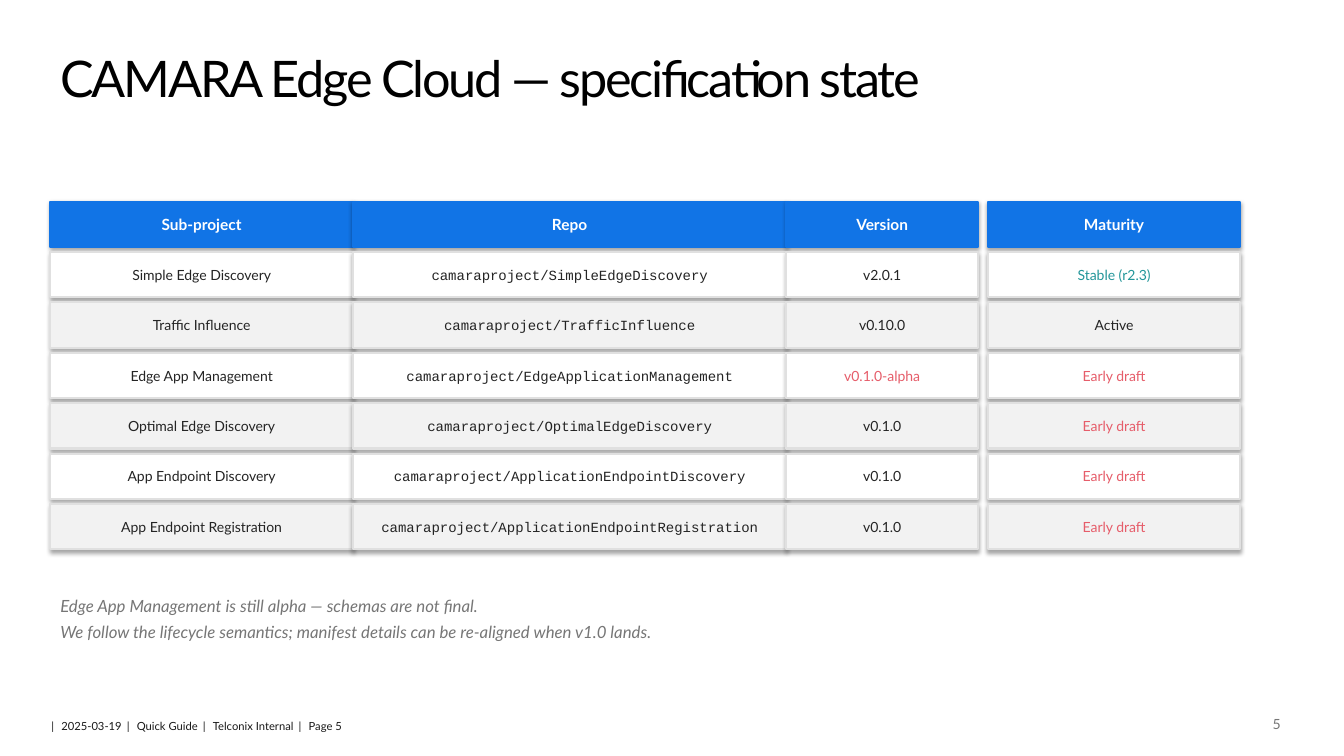
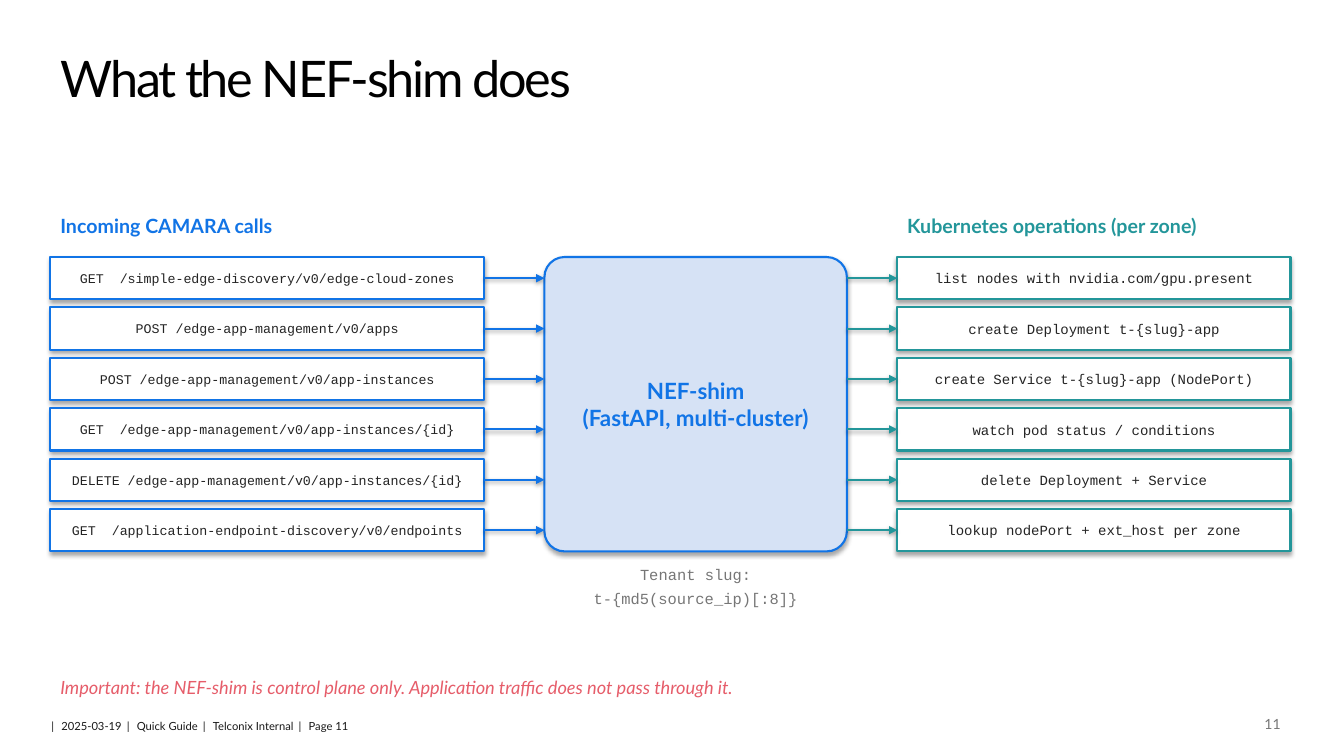
from dataclasses import dataclass

from lxml import etree
from pptx import Presentation
from pptx.dml.color import RGBColor
from pptx.enum.shapes import MSO_CONNECTOR, MSO_SHAPE
from pptx.enum.text import MSO_ANCHOR, MSO_AUTO_SIZE, PP_ALIGN
from pptx.oxml.ns import qn
from pptx.util import Pt

PX = 9144  # one hundredth of an inch in EMU
RECTANGLE, ROUNDED = MSO_SHAPE.RECTANGLE, MSO_SHAPE.ROUNDED_RECTANGLE
STRAIGHT = MSO_CONNECTOR.STRAIGHT
LEFT, CENTER, RIGHT = PP_ALIGN.LEFT, PP_ALIGN.CENTER, PP_ALIGN.RIGHT
TOP, MIDDLE = MSO_ANCHOR.TOP, MSO_ANCHOR.MIDDLE
NO_FIT = MSO_AUTO_SIZE.NONE
LEFT_SIDE, RIGHT_SIDE = 1, 3


@dataclass(frozen=True)
class Theme:
    sans: str = "Lato"
    mono: str = "Courier New"
    black: RGBColor = RGBColor.from_string("000000")
    white: RGBColor = RGBColor.from_string("FFFFFF")
    ink: RGBColor = RGBColor.from_string("242424")
    footer_ink: RGBColor = RGBColor.from_string("181818")
    gray: RGBColor = RGBColor.from_string("767676")
    border: RGBColor = RGBColor.from_string("E0E0E0")
    stripe: RGBColor = RGBColor.from_string("F2F2F2")
    blue: RGBColor = RGBColor.from_string("1174E6")
    pale_blue: RGBColor = RGBColor.from_string("D6E2F5")
    teal: RGBColor = RGBColor.from_string("23969A")
    coral: RGBColor = RGBColor.from_string("E65D6A")
    title_size: float = 36
    hub_size: float = 16
    heading_size: float = 14
    warning_size: float = 13
    note_size: float = 12
    header_size: float = 11
    cell_size: float = 10
    call_size: float = 9.5
    footer_size: float = 8


THEME = Theme()


def cast_shadow(drawn, distance, opacity):
    """Give a shape or connector, whose line is already set, a soft shadow below it."""
    effects = etree.SubElement(drawn._element.spPr, qn("a:effectLst"))
    shadow = etree.SubElement(effects, qn("a:outerShdw"), blurRad=str(Pt(3.1)),
                              dist=str(Pt(distance)), dir="5400000", rotWithShape="0")
    color = etree.SubElement(shadow, qn("a:srgbClr"), val="000000")
    etree.SubElement(color, qn("a:alpha"), val=str(opacity * 1000))


def put_text(page, area, text, *, size, color=THEME.ink, font=THEME.sans, bold=False,
             italic=False, align=LEFT, spacing=1.0, outline=None, fill=None, edge=None):
    """Place text, one paragraph a line, in a text box or in an outlined, filled shape."""
    area = [length * PX for length in area]
    if outline is None:
        box = page.shapes.add_textbox(*area)
    else:
        box = page.shapes.add_shape(outline, *area)
        box.fill.solid()
        box.fill.fore_color.rgb = fill
        box.line.color.rgb = edge
        box.line.width = Pt(1.5)
        cast_shadow(box, 1.8, 35)
    frame = box.text_frame
    frame.word_wrap = True
    frame.vertical_anchor = MIDDLE if outline else TOP
    for number, line in enumerate(text.split("\n")):
        para = frame.add_paragraph() if number else frame.paragraphs[0]
        para.alignment = align
        para.line_spacing = spacing
        span = para.add_run()
        span.text = line
        span.font.name = font
        span.font.size = Pt(size)
        span.font.color.rgb = color
        span.font.bold = bold
        span.font.italic = italic
    return box


deck = Presentation()
deck.slide_width, deck.slide_height = 1333 * PX, 750 * PX

# Title, footer and page number of every slide
pages = []
for heading, page_number in (("CAMARA Edge Cloud — specification state", 5),
                             ("What the NEF-shim does", 11)):
    page = deck.slides.add_slide(deck.slide_layouts[5])
    pages.append(page)

    title = page.shapes.title
    title.left, title.top, title.width, title.height = 52 * PX, 52 * PX, 914 * PX, 118 * PX
    frame = title.text_frame
    frame.auto_size, frame.vertical_anchor = NO_FIT, TOP
    frame.margin_left, frame.margin_top = 8 * PX, 4 * PX
    frame.margin_right = frame.margin_bottom = 0
    para = frame.paragraphs[0]
    para.alignment = LEFT
    para.line_spacing = 0.85
    span = para.add_run()
    span.text = heading
    span.font.name = THEME.sans
    span.font.size = Pt(THEME.title_size)
    span.font.color.rgb = THEME.black
    span._r.get_or_add_rPr().set("spc", "-160")

    footer = page.shapes.add_textbox(46 * PX, 714 * PX, 340 * PX, 13 * PX)
    frame = footer.text_frame
    frame.word_wrap = True
    frame.margin_left = frame.margin_top = frame.margin_right = frame.margin_bottom = 0
    para = frame.paragraphs[0]
    para._p.get_or_add_pPr().set("indent", str(5 * PX))
    separator = "| "
    for part in ("2025-03-19", "Quick Guide", "Telconix Internal", f"Page {page_number}"):
        for text, tracking in ((separator, 150), (part, 0)):
            span = para.add_run()
            span.text = text
            span.font.name = THEME.sans
            span.font.size = Pt(THEME.footer_size)
            span.font.color.rgb = THEME.footer_ink
            span._r.get_or_add_rPr().set("spc", str(tracking))
        separator = " | "

    put_text(page, (1200, 705, 80, 30), str(page_number), size=THEME.cell_size,
             color=THEME.gray, align=RIGHT)

state_page, shim_page = pages

# Specification state: a grid of separate cells
COLUMNS = ((50, 300), (350, 430), (780, 190), (980, 250))
REPO_COLUMN = 1
ROWS = (
    ("Sub-project", "Repo", "Version", "Maturity"),
    ("Simple Edge Discovery", "camaraproject/SimpleEdgeDiscovery", "v2.0.1", "Stable (r2.3)"),
    ("Traffic Influence", "camaraproject/TrafficInfluence", "v0.10.0", "Active"),
    ("Edge App Management", "camaraproject/EdgeApplicationManagement", "v0.1.0-alpha",
     "Early draft"),
    ("Optimal Edge Discovery", "camaraproject/OptimalEdgeDiscovery", "v0.1.0", "Early draft"),
    ("App Endpoint Discovery", "camaraproject/ApplicationEndpointDiscovery", "v0.1.0",
     "Early draft"),
    ("App Endpoint Registration", "camaraproject/ApplicationEndpointRegistration", "v0.1.0",
     "Early draft"),
)
STATUS_COLORS = {"Stable (r2.3)": THEME.teal, "Early draft": THEME.coral,
                 "v0.1.0-alpha": THEME.coral}
for row, cells in enumerate(ROWS):
    for column, (text, (left, width)) in enumerate(zip(cells, COLUMNS)):
        if row == 0:
            style = dict(size=THEME.header_size, color=THEME.white, bold=True,
                         fill=THEME.blue, edge=THEME.blue)
        else:
            style = dict(size=THEME.cell_size, color=STATUS_COLORS.get(text, THEME.ink),
                         font=THEME.mono if column == REPO_COLUMN else THEME.sans,
                         fill=THEME.white if row % 2 else THEME.stripe, edge=THEME.border)
        put_text(state_page, (left, 200 + 50 * row, width, 45), text,
                 align=CENTER, outline=RECTANGLE, **style)

put_text(state_page, (50, 580, 1200, 100),
         "Edge App Management is still alpha — schemas are not final.\n"
         "We follow the lifecycle semantics; manifest details can be re-aligned "
         "when v1.0 lands.",
         size=THEME.note_size, color=THEME.gray, italic=True, spacing=1.3)

# NEF-shim: calls on the left, hub in the middle, operations on the right
CALLS = (
    "GET  /simple-edge-discovery/v0/edge-cloud-zones",
    "POST /edge-app-management/v0/apps",
    "POST /edge-app-management/v0/app-instances",
    "GET  /edge-app-management/v0/app-instances/{id}",
    "DELETE /edge-app-management/v0/app-instances/{id}",
    "GET  /application-endpoint-discovery/v0/endpoints",
)
OPERATIONS = (
    "list nodes with nvidia.com/gpu.present",
    "create Deployment t-{slug}-app",
    "create Service t-{slug}-app (NodePort)",
    "watch pod status / conditions",
    "delete Deployment + Service",
    "lookup nodePort + ext_host per zone",
)
ROW_TOP, ROW_STEP, ROW_HEIGHT = 255, 50, 42
HUB_LEFT, HUB_WIDTH = 540, 300
HUB_HEIGHT = (len(CALLS) - 1) * ROW_STEP + ROW_HEIGHT
# The corners end above the first arrow and below the last, so all arrows meet straight sides
HUB_RADIUS = ROW_HEIGHT // 2 - 1
hub = put_text(shim_page, (HUB_LEFT, ROW_TOP, HUB_WIDTH, HUB_HEIGHT),
               "NEF-shim\n(FastAPI, multi-cluster)", size=THEME.hub_size, color=THEME.blue,
               bold=True, align=CENTER, outline=ROUNDED, fill=THEME.pale_blue, edge=THEME.blue)
hub.adjustments[0] = HUB_RADIUS / min(HUB_WIDTH, HUB_HEIGHT)
put_text(shim_page, (HUB_LEFT, 550, HUB_WIDTH, 60), "Tenant slug:\nt-{md5(source_ip)[:8]}",
         size=THEME.header_size, color=THEME.gray, font=THEME.mono, align=CENTER, spacing=1.3)

for heading, heading_width, entries, left, width, color, size in (
    ("Incoming CAMARA calls", 270, CALLS, 50, 430, THEME.blue, THEME.call_size),
    ("Kubernetes operations (per zone)", 350, OPERATIONS, 890, 390, THEME.teal,
     THEME.cell_size),
):
    put_text(shim_page, (left, 200, heading_width, 40), heading, size=THEME.heading_size,
             color=color, bold=True, spacing=1.3)
    incoming = left < HUB_LEFT
    start, end = (left + width, HUB_LEFT) if incoming else (HUB_LEFT + HUB_WIDTH, left)
    for row, entry in enumerate(entries):
        top = ROW_TOP + ROW_STEP * row
        box = put_text(shim_page, (left, top, width, ROW_HEIGHT), entry, size=size,
                       font=THEME.mono, align=CENTER, outline=RECTANGLE, fill=THEME.white,
                       edge=color)
        middle = (top + ROW_HEIGHT // 2) * PX
        arrow = shim_page.shapes.add_connector(STRAIGHT, start * PX, middle, end * PX, middle)
        if incoming:
            arrow.begin_connect(box, RIGHT_SIDE)
        else:
            arrow.end_connect(box, LEFT_SIDE)
        arrow.line.color.rgb = color
        arrow.line.width = Pt(1.3)
        etree.SubElement(arrow.line._get_or_add_ln(), qn("a:tailEnd"), type="triangle")
        cast_shadow(arrow, 1.6, 38)

put_text(shim_page, (50, 660, 1230, 40),
         "Important: the NEF-shim is control plane only. "
         "Application traffic does not pass through it.",
         size=THEME.warning_size, color=THEME.coral, italic=True, spacing=1.3)

deck.save("out.pptx")
